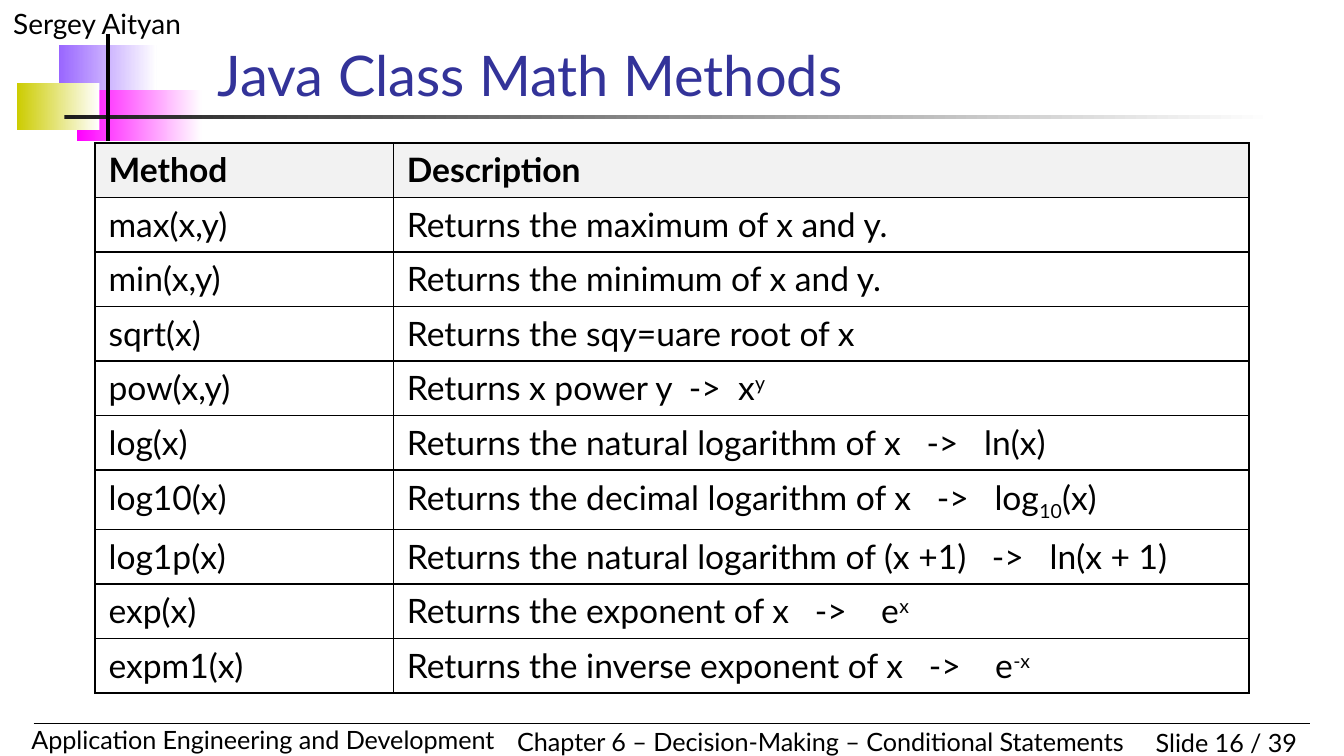
from dataclasses import dataclass
from typing import NamedTuple

from pptx import Presentation
from pptx.dml.color import RGBColor
from pptx.enum.shapes import MSO_CONNECTOR, MSO_SHAPE
from pptx.enum.text import MSO_ANCHOR, MSO_AUTO_SIZE, PP_ALIGN
from pptx.oxml import parse_xml
from pptx.oxml.ns import nsdecls
from pptx.util import Emu, Pt


def px(n: int) -> Emu:
    """Turn px (96 to the inch) into EMU."""
    return Emu(n * 9525)


@dataclass(frozen=True)
class Theme:
    font: str = "Lato"
    ink: str = "000000"
    paper: str = "FFFFFF"
    title: str = "333399"
    header_fill: str = "F2F2F2"
    title_pt: float = 30
    body_pt: float = 18
    author_pt: float = 15
    footer_pt: float = 13.5
    border_pt: float = 1


class Box(NamedTuple):
    x: int
    y: int
    w: int
    h: int

    def emu(self) -> list[Emu]:
        return [px(n) for n in self]


class Fade(NamedTuple):
    box: Box
    color: str


class Label(NamedTuple):
    text: str
    box: Box
    size: float
    align: PP_ALIGN = PP_ALIGN.LEFT
    wrap: bool = True


class Rule(NamedTuple):
    x1: int
    y1: int
    x2: int
    y2: int
    width: float


class Part(NamedTuple):
    text: str
    baseline: int = 0  # percent: above zero is superscript, below is subscript


class Method(NamedTuple):
    name: str
    description: tuple[Part, ...]


T = Theme()

FADES = [
    Fade(Box(42, 32, 70, 37), "9966FF"),
    Fade(Box(55, 64, 89, 37), "FF00FF"),
    Fade(Box(12, 59, 59, 34), "CCCC00"),
    Fade(Box(46, 82, 864, 3), "1C1C1C"),
]
LABELS = [
    Label("Sergey Aityan", Box(0, 0, 240, 34), T.author_pt),
    Label("Slide 16 / 39", Box(792, 515, 144, 32), T.footer_pt, PP_ALIGN.RIGHT),
    Label("Application Engineering and Development", Box(13, 513, 355, 32), T.footer_pt),
    Label("Chapter 6 – Decision-Making – Conditional Statements",
          Box(360, 514, 457, 32), T.footer_pt, wrap=False),
]
RULES = [Rule(24, 517, 936, 517, 0.75), Rule(77, 24, 77, 101, 2)]

TITLE_BOX = Box(146, 30, 706, 52)
TABLE_X, TABLE_Y, ROW_H = 68, 102, 39
COLUMNS = (213, 611)
METHODS = [
    Method("Method", (Part("Description"),)),
    Method("max(x,y)", (Part("Returns the maximum of x and y."),)),
    Method("min(x,y)", (Part("Returns the minimum of x and y."),)),
    Method("sqrt(x)", (Part("Returns the sqy=uare root of x"),)),
    Method("pow(x,y)", (Part("Returns x power y  ->  x"), Part("y", 30))),
    Method("log(x)", (Part("Returns the natural logarithm of x   ->   ln(x)"),)),
    Method("log10(x)", (Part("Returns the decimal logarithm of x   ->   log"),
                        Part("10", -25), Part("(x)"))),
    Method("log1p(x)", (Part("Returns the natural logarithm of (x +1)   ->   ln(x + 1)"),)),
    Method("exp(x)", (Part("Returns the exponent of x   ->    e"), Part("x", 30))),
    Method("expm1(x)", (Part("Returns the inverse exponent of x   ->    e"), Part("-x", 30))),
]


def rgb(color: str) -> RGBColor:
    return RGBColor.from_string(color)


def style(p, size: float, color: str = T.ink, bold: bool = False) -> None:
    p.font.name, p.font.size, p.font.bold = T.font, Pt(size), bold
    p.font.color.rgb = rgb(color)


def add_fade(s, fade: Fade) -> None:
    sp = s.shapes.add_shape(MSO_SHAPE.RECTANGLE, *fade.box.emu())
    sp.shadow.inherit = False
    sp.line.fill.background()
    sp.fill.gradient()
    sp.fill.gradient_angle = 0
    for stop, color in zip(sp.fill.gradient_stops, (fade.color, T.paper)):
        stop.color.rgb = rgb(color)


def add_label(s, label: Label) -> None:
    tf = s.shapes.add_textbox(*label.box.emu()).text_frame
    tf.word_wrap = label.wrap
    tf.auto_size = MSO_AUTO_SIZE.SHAPE_TO_FIT_TEXT
    p = tf.paragraphs[0]
    p.text, p.alignment = label.text, label.align
    style(p, label.size)


def add_rule(s, rule: Rule) -> None:
    ends = (px(n) for n in rule[:4])
    line = s.shapes.add_connector(MSO_CONNECTOR.STRAIGHT, *ends)
    line.line.color.rgb = rgb(T.ink)
    line.line.width = Pt(rule.width)
    line._element.spPr.append(parse_xml(f"<a:effectLst {nsdecls('a')}/>"))


def set_title(s, text: str) -> None:
    sp = s.shapes.title
    sp.left, sp.top, sp.width, sp.height = TITLE_BOX.emu()
    tf = sp.text_frame
    tf.auto_size = MSO_AUTO_SIZE.NONE
    tf.vertical_anchor = MSO_ANCHOR.BOTTOM
    p = tf.paragraphs[0]
    p.text, p.alignment = text, PP_ALIGN.LEFT
    style(p, T.title_pt, T.title)


def add_borders(cell) -> None:
    tcPr = cell._tc.get_or_add_tcPr()
    for side in "LRTB":
        tcPr.append(parse_xml(
            f'<a:ln{side} {nsdecls("a")} w="{Pt(T.border_pt)}"><a:solidFill>'
            f'<a:srgbClr val="{T.ink}"/></a:solidFill></a:ln{side}>'))


def fill_cell(cell, parts: tuple[Part, ...], header: bool) -> None:
    add_borders(cell)  # borders precede the fill in the cell properties
    if header:
        cell.fill.solid()
        cell.fill.fore_color.rgb = rgb(T.header_fill)
    else:
        cell.fill.background()
    p = cell.text_frame.paragraphs[0]
    style(p, T.body_pt, bold=header)
    for part in parts:
        r = p.add_run()
        r.text = part.text
        if part.baseline:
            r._r.get_or_add_rPr().set("baseline", str(part.baseline * 1000))


def add_methods(s, methods: list[Method]) -> None:
    box = Box(TABLE_X, TABLE_Y, sum(COLUMNS), ROW_H * len(methods))
    table = s.shapes.add_table(len(methods), len(COLUMNS), *box.emu()).table
    table.first_row = table.horz_banding = False
    for column, width in zip(table.columns, COLUMNS):
        column.width = px(width)
    for i, method in enumerate(methods):
        table.rows[i].height = px(ROW_H)
        fill_cell(table.cell(i, 0), (Part(method.name),), i == 0)
        fill_cell(table.cell(i, 1), method.description, i == 0)


def main() -> None:
    prs = Presentation()
    prs.slide_width, prs.slide_height = px(960), px(540)
    s = prs.slides.add_slide(prs.slide_layouts[5])

    # Corner decoration, header and footer
    for fade in FADES:
        add_fade(s, fade)
    for label in LABELS:
        add_label(s, label)
    for rule in RULES:
        add_rule(s, rule)

    # Title and table of methods
    set_title(s, "Java Class Math Methods")
    add_methods(s, METHODS)
    prs.save("out.pptx")


if __name__ == "__main__":
    main()
